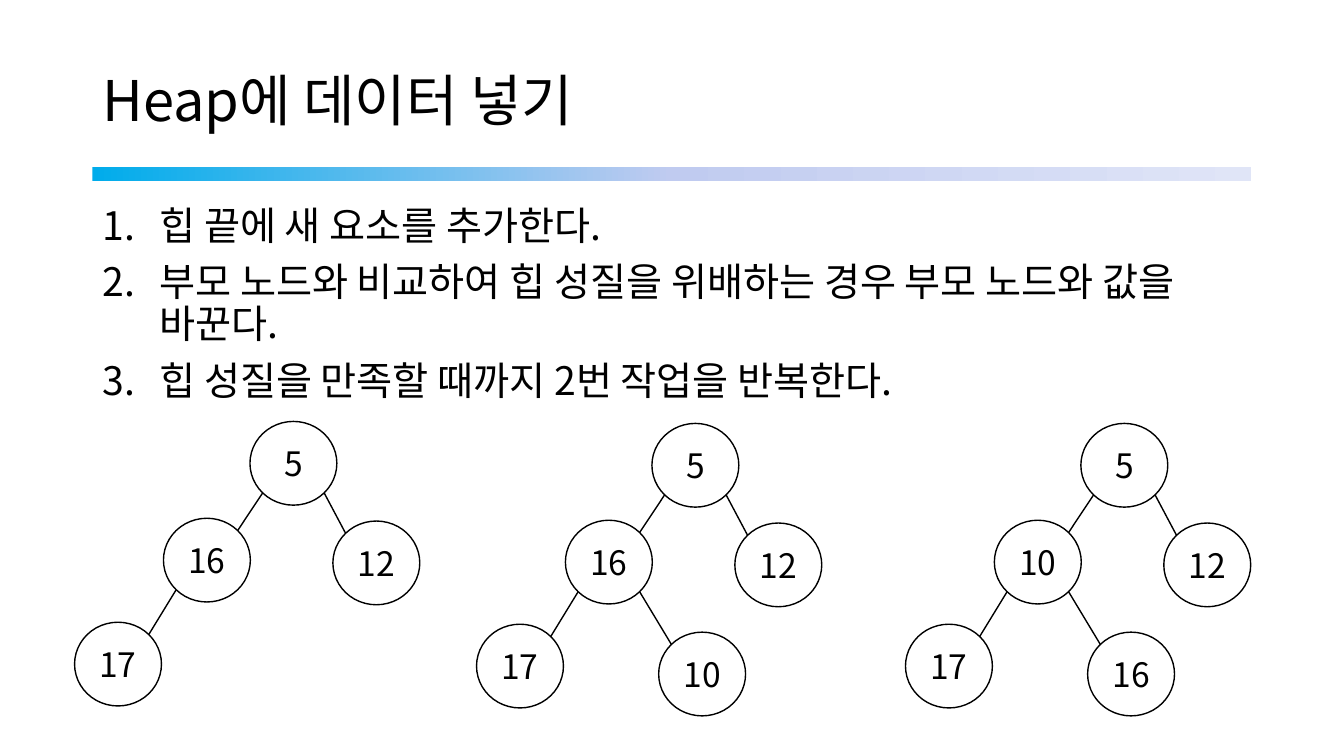
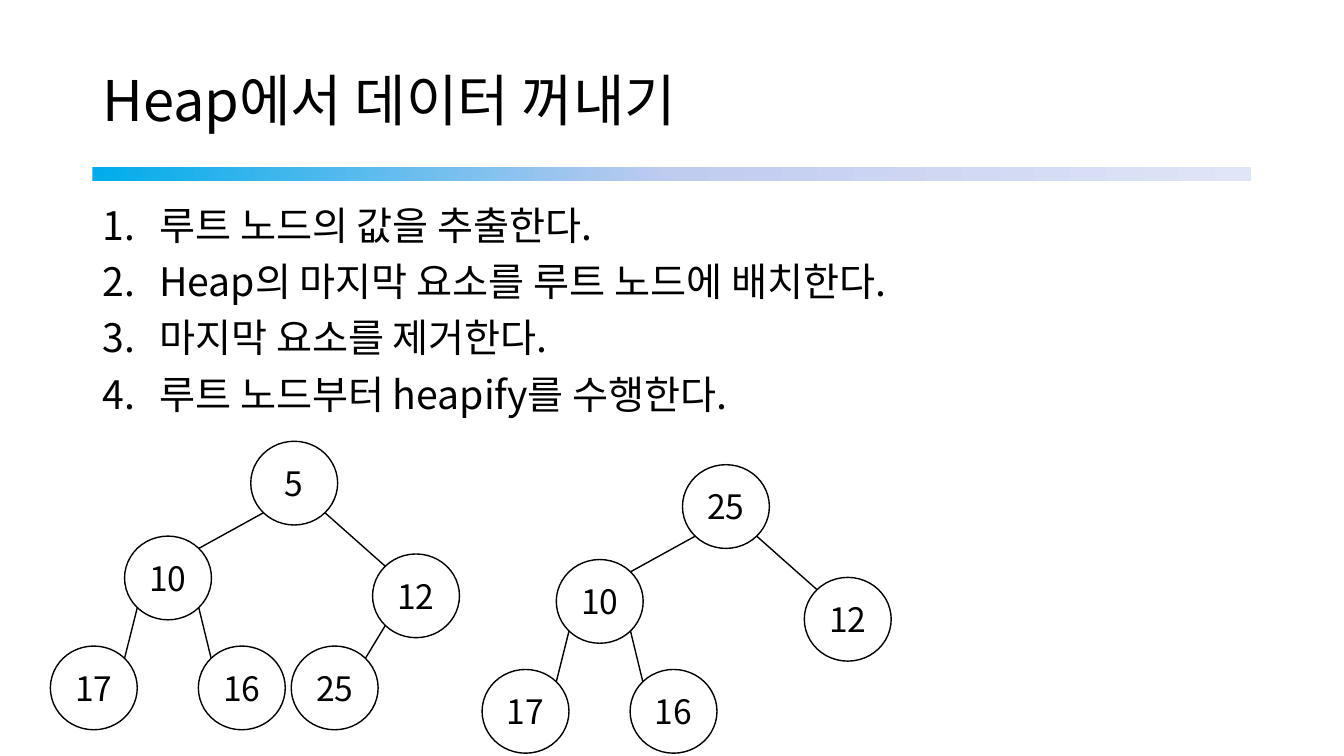
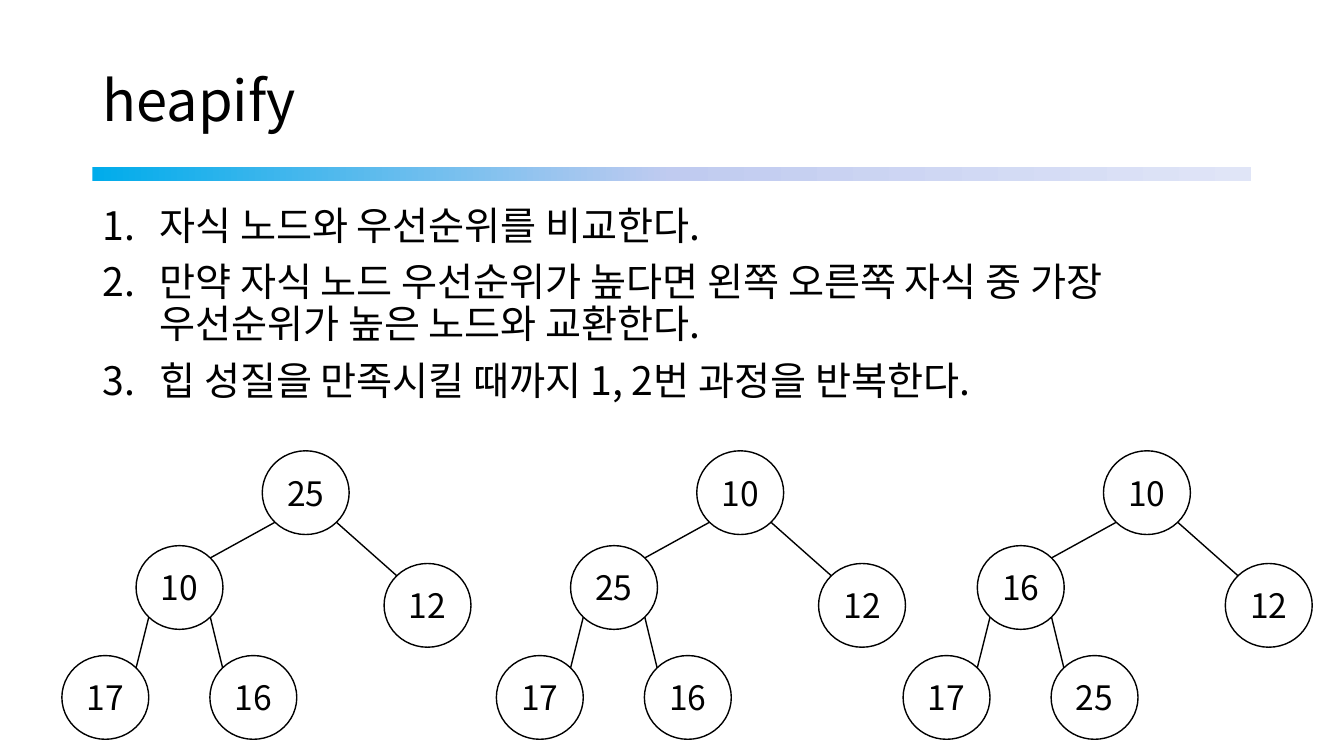
from math import sqrt

from lxml.etree import SubElement
from pptx import Presentation
from pptx.dml.color import RGBColor
from pptx.enum.shapes import MSO_CONNECTOR as Connector, MSO_SHAPE as Preset
from pptx.enum.text import MSO_ANCHOR as Anchor, MSO_AUTO_SIZE as AutoSize, PP_ALIGN as Align
from pptx.oxml.ns import qn
from pptx.util import Cm, Pt

# Offsets of the nodes from the root in cm, in heap order (children of i: 2i + 1, 2i + 2)
NARROW = [(0, 0), (-2.18, 2.44), (2.09, 2.51), (-4.42, 5.06), (0.17, 5.26)]
WIDE = [(0, 0), (-3.18, 2.39), (3.07, 2.84), (-5.05, 5.16), (-1.32, 5.16), (1.02, 5.16)]


def color(hex_string):
    return RGBColor.from_string(hex_string)


class HeapDeck:
    FONT = "Noto Sans CJK KR"
    INK = "000000"
    BAND_STOPS = [(0, "00ACEB"), (50, "C0CBF0"), (100, "E0E5F7")]
    LEFT, WIDTH = 2.33, 29.21
    NODE_WIDTH, NODE_HEIGHT = 2.19, 2.11

    def __init__(self):
        self.presentation = Presentation()
        self.presentation.slide_width = Cm(33.87)
        self.presentation.slide_height = Cm(19.05)
        self.layout = self.presentation.slide_layouts[1]
        self.slide = None

    def add_slide(self, title, steps):
        self.slide = self.presentation.slides.add_slide(self.layout)
        if len(self.presentation.slides) == 1:
            self.add_master_band()
        self.fill_title(title)
        self.fill_steps(steps)

    def add_master_band(self):
        """Draw the gradient band and move it to the slide master."""
        band = self.slide.shapes.add_shape(
            Preset.RECTANGLE, Cm(self.LEFT), Cm(4.2), Cm(self.WIDTH), Cm(0.37))
        band.shadow.inherit = False
        band.line.fill.background()
        band.fill.gradient()
        band.fill.gradient_angle = 0
        stop_list = band.element.find(".//" + qn("a:gsLst"))
        stop_list.clear()
        for percent, hex_string in self.BAND_STOPS:
            stop = SubElement(stop_list, qn("a:gs"), pos=str(percent * 1000))
            SubElement(stop, qn("a:srgbClr"), val=hex_string)
        self.presentation.slide_master.shapes.element.append(band.element)

    def add_run(self, paragraph, text, size):
        run = paragraph.add_run()
        run.text = text
        run.font.size = Pt(size)
        run.font.color.rgb = color(self.INK)
        run.font.name = self.FONT
        SubElement(run._r.get_or_add_rPr(), qn("a:ea"), typeface=self.FONT)

    def place(self, placeholder, top, height, anchor):
        placeholder.left, placeholder.top = Cm(self.LEFT), Cm(top)
        placeholder.width, placeholder.height = Cm(self.WIDTH), Cm(height)
        frame = placeholder.text_frame
        frame.auto_size = AutoSize.NONE
        frame.vertical_anchor = anchor
        return frame

    def fill_title(self, text):
        frame = self.place(self.slide.shapes.title, 1.01, 3.18, Anchor.MIDDLE)
        paragraph = frame.paragraphs[0]
        paragraph.alignment = Align.LEFT
        paragraph.line_spacing = 0.9
        self.add_run(paragraph, text, 40)

    def fill_steps(self, steps):
        frame = self.place(self.slide.placeholders[1], 5.07, 12.09, Anchor.TOP)
        for index, step in enumerate(steps):
            paragraph = frame.add_paragraph() if index else frame.paragraphs[0]
            paragraph.line_spacing = 0.9
            paragraph.space_before = Pt(10)
            # Automatic numbers with a hanging indent
            properties = paragraph._p.get_or_add_pPr()
            properties.set("marL", str(Cm(1.43)))
            properties.set("indent", str(-Cm(1.43)))
            SubElement(properties, qn("a:buFont"), typeface=self.FONT)
            SubElement(properties, qn("a:buAutoNum"), type="arabicPeriod")
            self.add_run(paragraph, step, 28)

    def add_node(self, left, top, value):
        node = self.slide.shapes.add_shape(
            Preset.OVAL, Cm(left), Cm(top), Cm(self.NODE_WIDTH), Cm(self.NODE_HEIGHT))
        node.shadow.inherit = False
        node.fill.background()
        node.line.color.rgb = color(self.INK)
        node.line.width = Pt(1)
        frame = node.text_frame
        frame.margin_left = frame.margin_right = 0
        frame.vertical_anchor = Anchor.MIDDLE
        frame.paragraphs[0].alignment = Align.CENTER
        self.add_run(frame.paragraphs[0], str(value), 24)

    def rim_point(self, corner, side, level):
        """Point on a node's rim, halfway between its axes."""
        left, top = corner
        return (Cm(left + self.NODE_WIDTH / 2 * (1 + side / sqrt(2))),
                Cm(top + self.NODE_HEIGHT / 2 * (1 + level / sqrt(2))))

    def add_edge(self, parent, child, side):
        edge = self.slide.shapes.add_connector(
            Connector.STRAIGHT,
            *self.rim_point(parent, side, 1), *self.rim_point(child, -side, -1))
        edge.line.color.rgb = color(self.INK)
        edge.line.width = Pt(1)
        SubElement(edge.element.spPr, qn("a:effectLst"))

    def add_heap(self, left, top, offsets, values):
        corners = [(left + x, top + y) for x, y in offsets]
        for index, value in enumerate(values):
            self.add_node(*corners[index], value)
            if index:
                side = -1 if index % 2 else 1
                self.add_edge(corners[(index - 1) // 2], corners[index], side)


def main():
    deck = HeapDeck()

    # Insertion
    deck.add_slide("Heap에 데이터 넣기", [
        "힙 끝에 새 요소를 추가한다.",
        "부모 노드와 비교하여 힙 성질을 위배하는 경우 부모 노드와 값을 바꾼다.",
        "힙 성질을 만족할 때까지 2번 작업을 반복한다.",
    ])
    deck.add_heap(6.3, 10.62, NARROW, [5, 16, 12, 17])
    deck.add_heap(16.43, 10.67, NARROW, [5, 16, 12, 17, 10])
    deck.add_heap(27.24, 10.67, NARROW, [5, 10, 12, 17, 16])

    # Extraction
    deck.add_slide("Heap에서 데이터 꺼내기", [
        "루트 노드의 값을 추출한다.",
        "Heap의 마지막 요소를 루트 노드에 배치한다.",
        "마지막 요소를 제거한다.",
        "루트 노드부터 heapify를 수행한다.",
    ])
    deck.add_heap(6.32, 11.12, WIDE, [5, 10, 12, 17, 16, 25])
    deck.add_heap(17.2, 11.71, WIDE, [25, 10, 12, 17, 16])

    # Restoring the heap property
    deck.add_slide("heapify", [
        "자식 노드와 우선순위를 비교한다.",
        "만약 자식 노드 우선순위가 높다면 왼쪽 오른쪽 자식 중 가장 우선순위가 높은 노드와 교환한다.",
        "힙 성질을 만족시킬 때까지 1, 2번 과정을 반복한다.",
    ])
    deck.add_heap(6.61, 11.36, WIDE, [25, 10, 12, 17, 16])
    deck.add_heap(17.56, 11.36, WIDE, [10, 25, 12, 17, 16])
    deck.add_heap(27.81, 11.36, WIDE, [10, 16, 12, 17, 25])

    deck.presentation.save("out.pptx")


if __name__ == "__main__":
    main()
